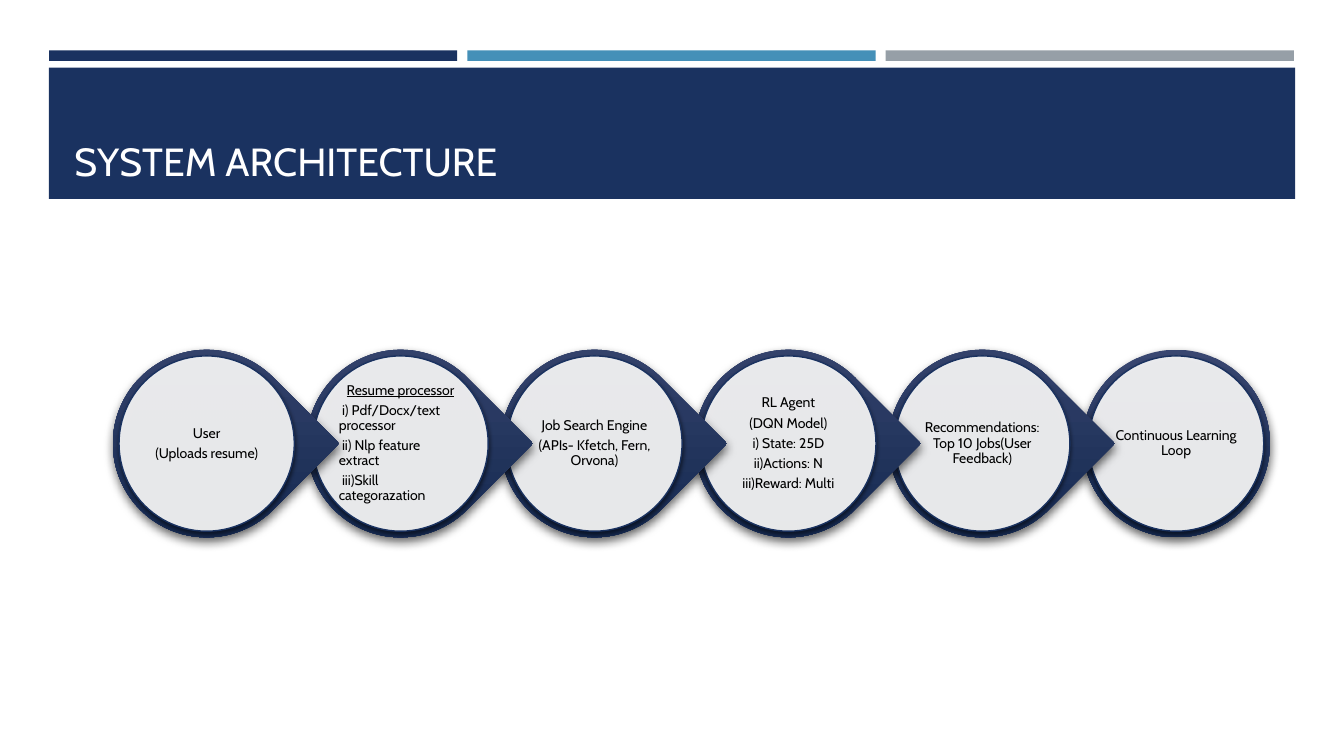
from dataclasses import dataclass

from lxml.etree import SubElement
from pptx import Presentation
from pptx.dml.color import RGBColor
from pptx.enum.shapes import MSO_SHAPE
from pptx.enum.text import MSO_ANCHOR, PP_ALIGN
from pptx.oxml.ns import qn
from pptx.shapes.autoshape import Shape
from pptx.slide import Slide
from pptx.text.text import TextFrame
from pptx.util import Pt

NAVY, BLUE, GRAY = "1A3260", "4590B8", "969FA7"
WHITE, BLACK = "FFFFFF", "000000"
FONT = "Cabin"
LEFT, TOP, PITCH = 80.6, 249.8, 138.5
RING, FACE, LABEL = 134, 125.2, 89.5


@dataclass(frozen=True)
class Box:
    left: float
    top: float
    width: float
    height: float


@dataclass(frozen=True)
class Bar:
    box: Box
    color: str


@dataclass(frozen=True)
class Step:
    """Centred lines of a stage, then left-aligned items under an underlined head."""
    lines: tuple[str, ...]
    items: tuple[str, ...] = ()


@dataclass(frozen=True)
class Shade:
    """Shadow with opacity in percent, lengths in points, angle in degrees."""
    alpha: int
    blur: float
    dist: float
    angle: int


BARS = [
    Bar(Box(35 + 298.8 * i, 36, 291.6, 7.5), color)
    for i, color in enumerate((NAVY, BLUE, GRAY))
] + [Bar(Box(34.9, 48.4, 890.3, 93.7), NAVY)]

STEPS = [
    Step(("User", "(Uploads resume)")),
    Step(("Resume processor",),
         (" i) Pdf/Docx/text processor", " ii) Nlp feature  extract",
          " iii)Skill  categorazation")),
    Step(("Job Search Engine", "(APIs- Kfetch, Fern, Orvona)")),
    Step(("RL Agent", "(DQN Model)", "i) State: 25D", "ii)Actions: N",
          "iii)Reward: Multi")),
    Step(("Recommendations: Top 10 Jobs(User Feedback)",)),
    Step(("Continuous Learning Loop",)),
]

RING_SHADE = Shade(60, 7, 3, 84)
FACE_SHADE = Shade(55, 3, 2, 90)
INSETS = ("margin_left", "margin_top", "margin_right", "margin_bottom")


def paint(text: str) -> RGBColor:
    return RGBColor.from_string(text)


def apply(target: object, values: dict[str, object]) -> None:
    for name, value in values.items():
        setattr(target, name, value)


def spot(box: Box) -> tuple[Pt, Pt, Pt, Pt]:
    return Pt(box.left), Pt(box.top), Pt(box.width), Pt(box.height)


def disc(index: int, size: float) -> Box:
    """Square of the given size, centred on a stage."""
    gap = (RING - size) / 2
    return Box(LEFT + PITCH * index + gap, TOP + gap, size, size)


def add_form(slide: Slide, kind: MSO_SHAPE, box: Box) -> Shape:
    form = slide.shapes.add_shape(kind, *spot(box))
    form.shadow.inherit = False
    form.line.fill.background()
    return form


def cast(form: Shape, shade: Shade) -> None:
    """Give the shape an outer shadow."""
    effect = form._element.spPr.find(qn("a:effectLst"))
    outer = SubElement(effect, qn("a:outerShdw"), {
        "blurRad": str(Pt(shade.blur)), "dist": str(Pt(shade.dist)),
        "dir": str(shade.angle * 60000), "rotWithShape": "0"})
    color = SubElement(outer, qn("a:srgbClr"), val=BLACK)
    SubElement(color, qn("a:alpha"), val=str(shade.alpha * 1000))


def add_bar(slide: Slide, bar: Bar) -> None:
    form = add_form(slide, MSO_SHAPE.RECTANGLE, bar.box)
    form.fill.solid()
    form.fill.fore_color.rgb = paint(bar.color)


def add_ring(slide: Slide, index: int, last: bool) -> None:
    kind = MSO_SHAPE.OVAL if last else MSO_SHAPE.TEAR
    ring = add_form(slide, kind, disc(index, RING))
    if not last:
        ring.rotation = 45
        ring.adjustments[0] = 1
    ring.fill.gradient()
    ring.fill.gradient_angle = 270
    tones = ((0, "394771"), (0.84, "162A51"))
    for stop, (place, tone) in zip(ring.fill.gradient_stops, tones):
        stop.position = place
        stop.color.rgb = paint(tone)
    ring._element.spPr.find(qn("a:gradFill")).set("rotWithShape", "0")
    cast(ring, RING_SHADE)


def add_face(slide: Slide, index: int) -> None:
    face = add_form(slide, MSO_SHAPE.OVAL, disc(index, FACE))
    face.fill.solid()
    face.fill.fore_color.rgb = paint(WHITE)
    color = face._element.spPr.find(qn("a:solidFill")).find(qn("a:srgbClr"))
    SubElement(color, qn("a:alpha"), val="90000")
    face.line.color.rgb = paint(NAVY)
    face.line.width = Pt(1)
    cast(face, FACE_SHADE)


def add_frame(slide: Slide, box: Box, form: dict[str, object]) -> TextFrame:
    frame = slide.shapes.add_textbox(*spot(box)).text_frame
    apply(frame, {"word_wrap": True} | form)
    return frame


def add_line(frame: TextFrame, first: bool, text: str, size: float, color: str,
             form: dict[str, object], under: bool = False) -> None:
    para = frame.paragraphs[0] if first else frame.add_paragraph()
    apply(para, form)
    run = para.add_run()
    run.text = text
    apply(run.font, {"name": FONT, "size": Pt(size), "underline": under})
    run.font.color.rgb = paint(color)


def add_label(slide: Slide, index: int, step: Step) -> None:
    form = dict.fromkeys(INSETS, Pt(0.7)) | {"vertical_anchor": MSO_ANCHOR.MIDDLE}
    frame = add_frame(slide, disc(index, LABEL), form)
    for row, text in enumerate(step.lines + step.items):
        head = row < len(step.lines)
        align = PP_ALIGN.CENTER if head else PP_ALIGN.LEFT
        form = {"alignment": align, "line_spacing": 0.9, "space_after": Pt(3.5)}
        add_line(frame, row == 0, text, 10, BLACK, form, head and bool(step.items))


def main() -> None:
    deck = Presentation()
    apply(deck, {"slide_width": Pt(960), "slide_height": Pt(540)})
    slide = deck.slides.add_slide(deck.slide_layouts[6])
    for bar in BARS:
        add_bar(slide, bar)
    title = add_frame(slide, Box(46, 55.4, 868.3, 80),
                      {"vertical_anchor": MSO_ANCHOR.BOTTOM})
    add_line(title, True, "SYSTEM ARCHITECTURE", 28, WHITE,
             {"alignment": PP_ALIGN.LEFT, "line_spacing": 0.9})
    # Each tip overlaps the next stage, so stages go from last to first.
    for index, step in reversed(list(enumerate(STEPS))):
        add_ring(slide, index, index == len(STEPS) - 1)
        add_face(slide, index)
        add_label(slide, index, step)
    deck.save("out.pptx")


if __name__ == "__main__":
    main()
